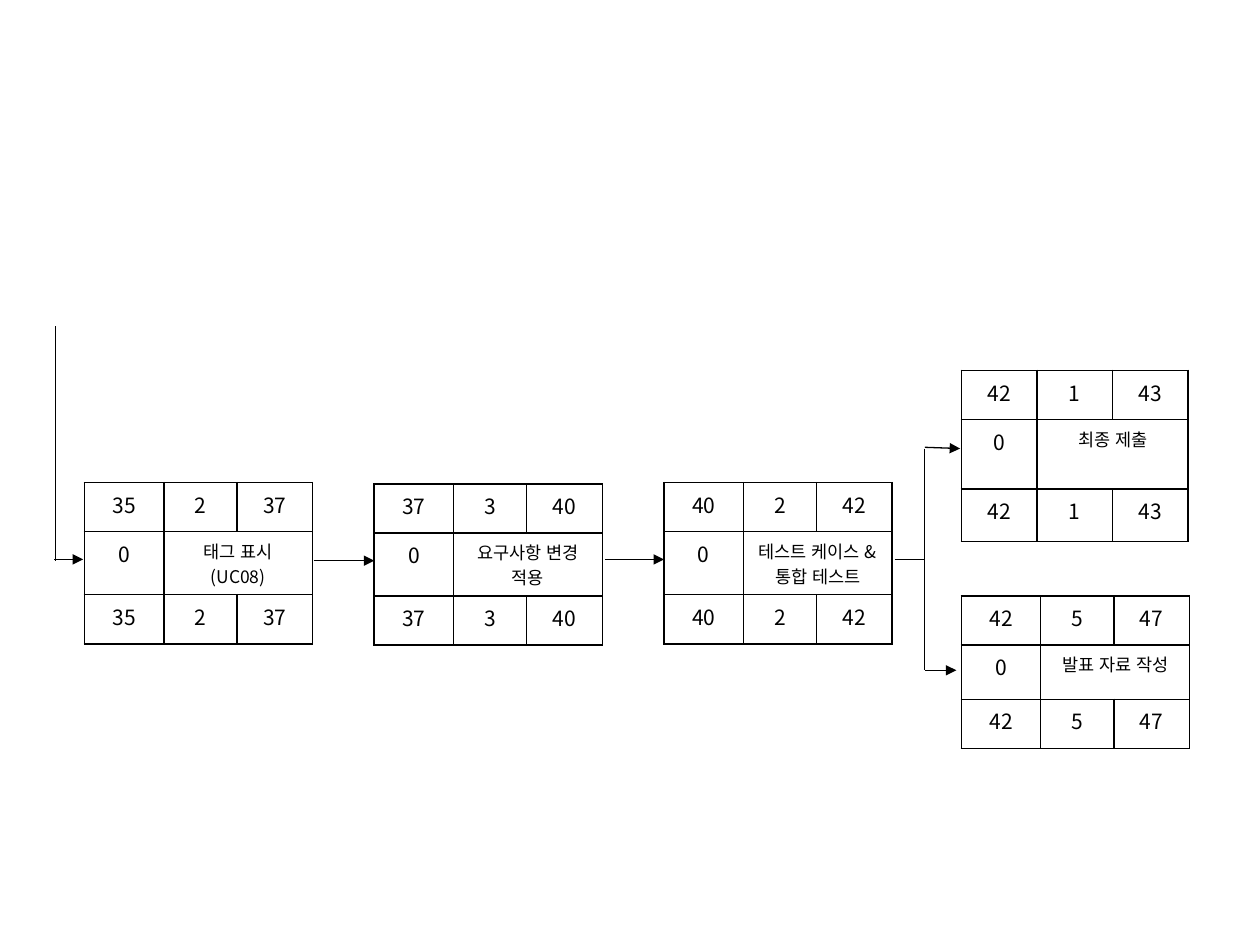
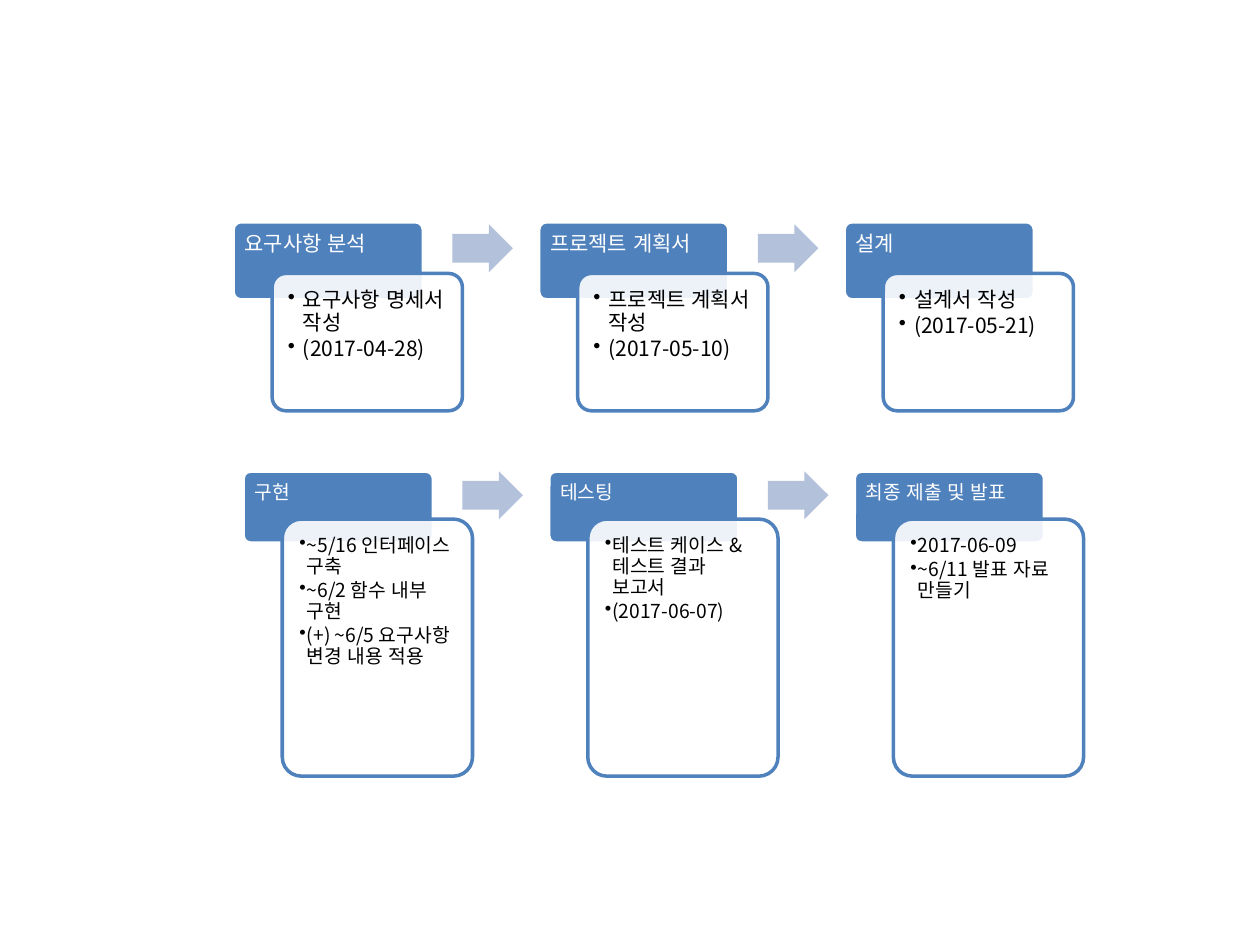
from lxml import etree
from pptx import Presentation
from pptx.dml.color import RGBColor
from pptx.enum.lang import MSO_LANGUAGE_ID
from pptx.enum.shapes import MSO_CONNECTOR, MSO_SHAPE
from pptx.enum.text import MSO_ANCHOR, PP_ALIGN
from pptx.oxml import parse_xml
from pptx.oxml.ns import nsdecls, qn
from pptx.util import Inches, Pt

KOREAN = MSO_LANGUAGE_ID.KOREAN
STRAIGHT = MSO_CONNECTOR.STRAIGHT
ROUND_RECT = MSO_SHAPE.ROUNDED_RECTANGLE
RIGHT_ARROW = MSO_SHAPE.RIGHT_ARROW
TOP = MSO_ANCHOR.TOP
CENTER, LEFT = PP_ALIGN.CENTER, PP_ALIGN.LEFT

FONT = "Noto Sans CJK KR"
COLORS = {"ink": "000000", "paper": "FFFFFF", "blue": "4F81BD", "arrow": "B3C1DB"}

# Task boxes: left, top, start day, duration, name, column widths, row heights
COLS, EVEN_COLS = (0.63, 0.58, 0.6), (0.6, 0.6, 0.6)
ROWS = (0.39, 0.5, 0.39)
TASKS = [
    (0.67, 3.83, 35, 2, "태그 표시\n(UC08)", COLS, ROWS),
    (2.97, 3.84, 37, 3, "요구사항 변경 적용", COLS, ROWS),
    (5.27, 3.83, 40, 2, "테스트 케이스 & 통합 테스트", COLS, ROWS),
    (7.63, 2.94, 42, 1, "최종 제출", EVEN_COLS, (0.39, 0.55, 0.42)),
    (7.63, 4.73, 42, 5, "발표 자료 작성", COLS, (0.39, 0.43, 0.39)),
]

# Links: x1, y1, x2, y2, arrowhead
LINKS = [
    (0.44, 2.59, 0.44, 4.45, False),
    (0.43, 4.44, 0.66, 4.44, True),
    (2.49, 4.45, 2.97, 4.45, True),
    (4.8, 4.44, 5.27, 4.44, True),
    (7.1, 4.44, 7.34, 4.44, False),
    (7.34, 3.56, 7.34, 5.32, False),
    (7.34, 5.32, 7.59, 5.32, True),
    (7.34, 3.55, 7.62, 3.56, True),
]

# Phase rows: geometry and (heading, bullets) of each phase
PHASE_ROWS = [
    dict(left=1.85, top=1.76, size=12, head_h=0.62, drop=0.41, card_h=1.09,
         pad=0.035, indent=0.12, arrow_top=1.78, phases=[
             ("요구사항 분석", ["요구사항 명세서 작성", "(2017-04-28)"]),
             ("프로젝트 계획서", ["프로젝트 계획서 작성", "(2017-05-10)"]),
             ("설계", ["설계서 작성", "(2017-05-21)"])]),
    dict(left=1.93, top=3.74, size=11, head_h=0.57, drop=0.38, card_h=2.04,
         pad=0.045, indent=0.06, arrow_top=3.74, phases=[
             ("구현", ["~5/16 인터페이스 구축", "~6/2 함수 내부 구현",
                     "(+) ~6/5 요구사항 변경 내용 적용"]),
             ("테스팅", ["테스트 케이스 & 테스트 결과 보고서", "(2017-06-07)"]),
             ("최종 제출 및 발표", ["2017-06-09", "~6/11 발표 자료 만들기"])]),
]
PHASE_PITCH = 4.85 / 2
CARD_W, CARD_SHIFT = 1.51, 0.31


def rgb(name):
    return RGBColor.from_string(COLORS[name])


def format_runs(p, size, color, align):
    p.alignment = align
    for r in p.runs:
        r.font.size = Pt(size)
        r.font.name = FONT
        r.font.color.rgb = rgb(color)
        r.font.language_id = KOREAN
        ea = etree.SubElement(r.font._element, qn("a:ea"))
        ea.set("typeface", FONT)


def add_borders(cell):
    tcPr = cell._tc.get_or_add_tcPr()
    for side in ("lnL", "lnR", "lnT", "lnB"):
        tcPr.append(parse_xml(
            f'<a:{side} {nsdecls("a")} w="12700"><a:solidFill>'
            f'<a:srgbClr val="{COLORS["ink"]}"/></a:solidFill></a:{side}>'))


def add_task(s, left, top, start, days, name, cols, rows):
    frame = s.shapes.add_table(3, 3, Inches(left), Inches(top),
                               Inches(sum(cols)), Inches(sum(rows)))
    table = frame.table
    table.first_row = table.horz_banding = False
    for column, width in zip(table.columns, cols):
        column.width = Inches(width)
    for row, height in zip(table.rows, rows):
        row.height = Inches(height)
    table.cell(1, 1).merge(table.cell(1, 2))

    schedule = [str(start), str(days), str(start + days)]
    for i, texts in enumerate([schedule, ["0", name, ""], schedule]):
        for j, text in enumerate(texts):
            cell = table.cell(i, j)
            add_borders(cell)
            cell.fill.solid()
            cell.fill.fore_color.rgb = rgb("paper")
            if cell.is_spanned:
                continue
            cell.text = text
            for p in cell.text_frame.paragraphs:
                format_runs(p, 10 if text == name else 12, "ink", CENTER)


def add_link(s, x1, y1, x2, y2, arrowhead):
    line = s.shapes.add_connector(STRAIGHT, Inches(x1), Inches(y1),
                                  Inches(x2), Inches(y2))
    line.line.color.rgb = rgb("ink")
    line.line.width = Pt(0.75)
    if arrowhead:
        tail = etree.SubElement(line.line._get_or_add_ln(), qn("a:tailEnd"))
        tail.set("type", "triangle")
    etree.SubElement(line._element.spPr, qn("a:effectLst"))


def add_block(group, kind, left, top, width, height, adjust, fill, line=None):
    sp = group.shapes.add_shape(kind, Inches(left), Inches(top),
                                Inches(width), Inches(height))
    sp.shadow.inherit = False
    for i, value in enumerate(adjust):
        sp.adjustments[i] = value
    sp.fill.solid()
    sp.fill.fore_color.rgb = rgb(fill)
    if line:
        sp.line.color.rgb = rgb(line)
        sp.line.width = Pt(2)
    else:
        sp.line.fill.background()
    return sp


def make_translucent(sp):
    color = sp._element.spPr.find(qn("a:solidFill"))[0]
    etree.SubElement(color, qn("a:alpha")).set("val", "90000")


def add_text(group, left, top, width, height, lines, size, color,
             bottom, after, indent=None):
    tf = group.shapes.add_textbox(Inches(left), Inches(top),
                                  Inches(width), Inches(height)).text_frame
    tf.word_wrap = True
    tf.vertical_anchor = TOP
    tf.margin_left = tf.margin_right = tf.margin_top = Inches(0.09)
    tf.margin_bottom = Inches(bottom)
    tf.text = "\n".join(lines)
    for p in tf.paragraphs:
        format_runs(p, size, color, LEFT)
        p.line_spacing = 0.9
        p.space_after = Pt(size * after)
        if indent:
            p.level = 1
            pPr = p._p.get_or_add_pPr()
            pPr.set("marL", str(Inches(indent)))
            pPr.set("indent", str(-Inches(indent)))
            etree.SubElement(pPr, qn("a:buChar")).set("char", "•")


def add_phase_row(s, left, top, size, head_h, drop, card_h, pad, indent,
                  arrow_top, phases):
    group = s.shapes.add_group_shape()
    for i, (heading, bullets) in enumerate(phases):
        x = left + i * PHASE_PITCH
        # Heading behind, card in front
        add_block(group, ROUND_RECT, x, top, CARD_W, head_h, [0.1], "blue", "paper")
        add_text(group, x, top, CARD_W, drop, [heading], size, "paper", 0.05, 0.35)
        card_x, card_y = x + CARD_SHIFT, top + drop
        card = add_block(group, ROUND_RECT, card_x, card_y, CARD_W, card_h,
                         [0.1], "paper", "blue")
        make_translucent(card)
        add_text(group, card_x + pad, card_y + pad, CARD_W - 2 * pad,
                 card_h - 2 * pad, bullets, size, "ink", 0.09, 0.17, indent)
        # Arrow to the next phase
        if i < len(phases) - 1:
            add_block(group, RIGHT_ARROW, x + 1.74, arrow_top, 0.48, 0.38,
                      [0.6, 0.5], "arrow")


def main():
    prs = Presentation()
    prs.slide_width, prs.slide_height = Inches(10), Inches(7.5)
    blank = prs.slide_layouts[6]

    # Slide 1: activity network
    s = prs.slides.add_slide(blank)
    for task in TASKS:
        add_task(s, *task)
    for link in LINKS:
        add_link(s, *link)

    # Slide 2: project phases
    s = prs.slides.add_slide(blank)
    for row in reversed(PHASE_ROWS):
        add_phase_row(s, **row)

    prs.save("out.pptx")


main()
